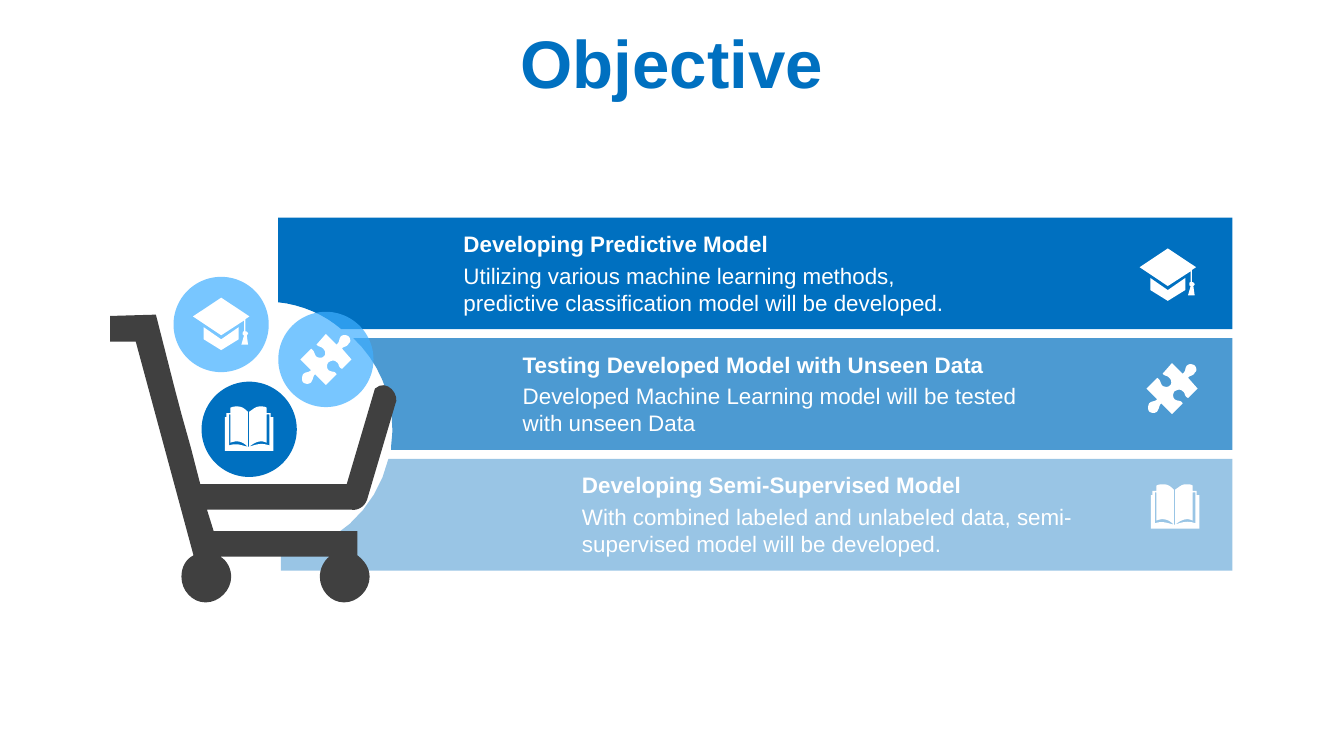
from dataclasses import dataclass

import pptx
import pptx.dml.color
import pptx.enum.shapes
import pptx.enum.text
import pptx.oxml
import pptx.oxml.ns
import pptx.util
from lxml import etree
from pptx.util import Cm


@dataclass(frozen=True)
class Theme:
    primary: str = "0070C0"
    light: str = "40AFFF"
    dark: str = "404040"
    white: str = "FFFFFF"
    font: str = "Arial"
    title_size: int = 36
    text_size: int = 12


@dataclass(frozen=True)
class Objective:
    heading: str
    detail: str
    bar: str
    opacity: int
    icon: str
    icon_center: tuple
    badge_center: tuple
    badge_color: str
    badge_opacity: int


THEME = Theme()
GRID = Cm(2.54) / 100  # one unit of the outlines below
CURVE_STEPS = 8
BAR_PITCH = 2.28

# Outlines use M (move), L (lines), C (cubic curve) and Z (close).
# Icons are centred on 0, 0; bars start at y = 0.
CAP = """M -13 2 L 0 11 13 2 13 11 0 19 -13 11 Z
    M 0 -20 L 21 -6 18 -4 18 5 C 19 5 20 6 20 7 C 20 7 19 8 19 8
    L 20 15 15 15 17 8 C 16 8 16 7 16 7 C 16 6 16 5 17 5
    L 17 -3 0 8 -21 -6 Z"""
PUZZLE = """M 17 -17 C 18 -16 19 -13 17 -12 C 16 -9 13 -10 12 -8
    L 19 0 12 7 C 9 6 10 3 8 2 C 6 0 4 1 2 2 C 1 3 0 6 2 8
    C 5 10 6 8 8 11 L 0 19 -8 11 C -10 13 -9 14 -11 17
    C -13 19 -16 18 -17 17 C -18 16 -18 13 -17 11
    C -15 9 -13 10 -11 8 L -19 0 -11 -8 C -8 -6 -9 -4 -7 -2
    C -5 -1 -3 -1 -2 -2 C 0 -3 0 -6 -2 -8 C -4 -10 -5 -9 -7 -11
    L 0 -19 8 -11 C 11 -14 9 -14 11 -17 C 13 -19 16 -18 17 -17 Z"""
BOOK = """M -1 13 L 0 13 C 6 11 9 10 15 12 L 15 -11 13 -11 13 10
    C 9 8 5 9 0 13 L 0 -13 C 3 -15 5 -17 8 -17
    C 10 -17 12 -17 13 -16 L 13 -12 16 -12 16 -9 18 -9 18 16
    -18 16 -18 -9 -17 -9 -17 -12 -14 -12 -14 -16
    C -12 -17 -10 -17 -9 -17 C -5 -17 -3 -15 -1 -13 L -1 13
    C -5 9 -9 8 -14 10 L -14 -11 -15 -11 -15 12
    C -9 10 -6 12 -1 13 Z"""
CART = """M 116 234 L 130 289 135 308 142 333 149 360 258 360 279 289
    C 288 281 298 294 294 301 L 273 372 C 271 377 266 380 261 379
    L 154 379 159 395 266 395 266 413 C 271 417 275 422 275 429
    C 275 439 266 448 256 448 C 246 448 238 439 238 429
    C 238 423 241 417 245 414 L 164 414 C 169 417 172 423 172 429
    C 172 439 163 448 153 448 C 143 448 135 439 135 429
    C 135 422 138 416 144 413 L 101 254 82 254 82 235 Z"""

OBJECTIVES = [
    Objective(
        "Developing Predictive Model",
        "Utilizing various machine learning methods, predictive "
        "classification model will be developed.",
        "M 207 0 L 917 0 917 83 254 83 C 241 72 225 65 207 63 Z", 100,
        CAP, (22.07, 5.2), (4.18, 6.13), THEME.light, 70),
    Objective(
        "Testing Developed Model with Unseen Data",
        "Developed Machine Learning model will be tested with unseen Data",
        "M 263 0 L 917 0 917 83 291 83 C 291 78 292 73 292 68 "
        "C 292 41 281 17 263 0 Z", 70,
        PUZZLE, (22.15, 7.34), (6.16, 6.79), THEME.light, 70),
    Objective(
        "Developing Semi-Supervised Model",
        "With combined labeled and unlabeled data, semi-supervised model "
        "will be developed.",
        "M 289 0 L 917 0 917 83 209 83 209 71 C 248 67 280 38 289 0 Z", 40,
        BOOK, (22.21, 9.58), (4.71, 8.11), THEME.primary, 100),
]


def paint(shape, color, opacity=100):
    shape.shadow.inherit = False
    shape.line.fill.background()
    shape.fill.solid()
    shape.fill.fore_color.rgb = pptx.dml.color.RGBColor.from_string(color)
    if opacity < 100:
        qn = pptx.oxml.ns.qn
        rgb = shape.element.spPr.find(qn("a:solidFill")).find(qn("a:srgbClr"))
        etree.SubElement(rgb, qn("a:alpha"), val=str(opacity * 1000))


def curve_points(a, b, c, d):
    """Points along a cubic curve, without its start."""
    points = []
    for step in range(1, CURVE_STEPS + 1):
        t = step / CURVE_STEPS
        weights = ((1 - t) ** 3, 3 * t * (1 - t) ** 2, 3 * t * t * (1 - t), t ** 3)
        points.append(tuple(sum(w * p[axis] for w, p in zip(weights, (a, b, c, d)))
                            for axis in (0, 1)))
    return points


def trace(outline):
    """Turn an outline into a list of contours, each a list of points."""
    contours = []
    for command in outline.replace("Z", "").replace("M", "|M").replace(
            "L", "|L").replace("C", "|C").split("|")[1:]:
        numbers = [float(n) * GRID for n in command[1:].split()]
        points = list(zip(numbers[::2], numbers[1::2]))
        if command[0] == "M":
            contours.append(points)
        elif command[0] == "L":
            contours[-1].extend(points)
        else:
            contours[-1].extend(curve_points(contours[-1][-1], *points))
    return contours


def add_outline(slide, outline, origin, color, opacity=100):
    first, *others = trace(outline)
    builder = slide.shapes.build_freeform(*first[0])
    builder.add_line_segments(first[1:], close=True)
    for contour in others:
        builder.move_to(*contour[0])
        builder.add_line_segments(contour[1:], close=True)
    paint(builder.convert_to_shape(Cm(origin[0]), Cm(origin[1])), color, opacity)


def style(paragraph, size, color, bold=False):
    paragraph.font.name = THEME.font
    paragraph.font.size = pptx.util.Pt(size)
    paragraph.font.bold = bold
    paragraph.font.color.rgb = pptx.dml.color.RGBColor.from_string(color)


def add_title(slide, text):
    title = slide.shapes.title
    title.left, title.top, title.width, title.height = Cm(0), Cm(0.36), Cm(25.4), Cm(1.6)
    frame = title.text_frame
    frame.text = text
    frame.auto_size = pptx.enum.text.MSO_AUTO_SIZE.NONE
    frame.vertical_anchor = pptx.enum.text.MSO_ANCHOR.MIDDLE
    frame.paragraphs[0].alignment = pptx.enum.text.PP_ALIGN.CENTER
    style(frame.paragraphs[0], THEME.title_size, THEME.primary, bold=True)


def add_text(slide, text, left, top, height, bold=False):
    frame = slide.shapes.add_textbox(Cm(left), Cm(top), Cm(10.34), Cm(height)).text_frame
    frame.word_wrap = True
    frame.text = text
    style(frame.paragraphs[0], THEME.text_size, THEME.white, bold)


def add_badge(slide, center, color, opacity):
    diameter = 1.8
    left, top = (Cm(c - diameter / 2) for c in center)
    badge = slide.shapes.add_shape(pptx.enum.shapes.MSO_SHAPE.OVAL, left, top,
                                   Cm(diameter), Cm(diameter))
    paint(badge, color, opacity)


def main():
    deck = pptx.Presentation()
    deck.slide_width, deck.slide_height = Cm(25.4), Cm(14.28)
    slide = deck.slides.add_slide(deck.slide_layouts[5])
    add_title(slide, "Objective")
    for row, item in enumerate(OBJECTIVES):
        drop = row * BAR_PITCH
        left = 8.51 + row * 1.12
        add_outline(slide, item.bar, (0, 4.11 + drop), THEME.primary, item.opacity)
        add_text(slide, item.detail, left, 4.82 + drop, 1.28)
        add_text(slide, item.heading, left, 4.22 + drop, 0.77, bold=True)
        add_outline(slide, item.icon, item.icon_center, THEME.white)
    add_outline(slide, CART, (0, 0), THEME.dark)
    for item in OBJECTIVES:
        add_badge(slide, item.badge_center, item.badge_color, item.badge_opacity)
        add_outline(slide, item.icon, item.badge_center, THEME.white)
    deck.save("out.pptx")


if __name__ == "__main__":
    main()
